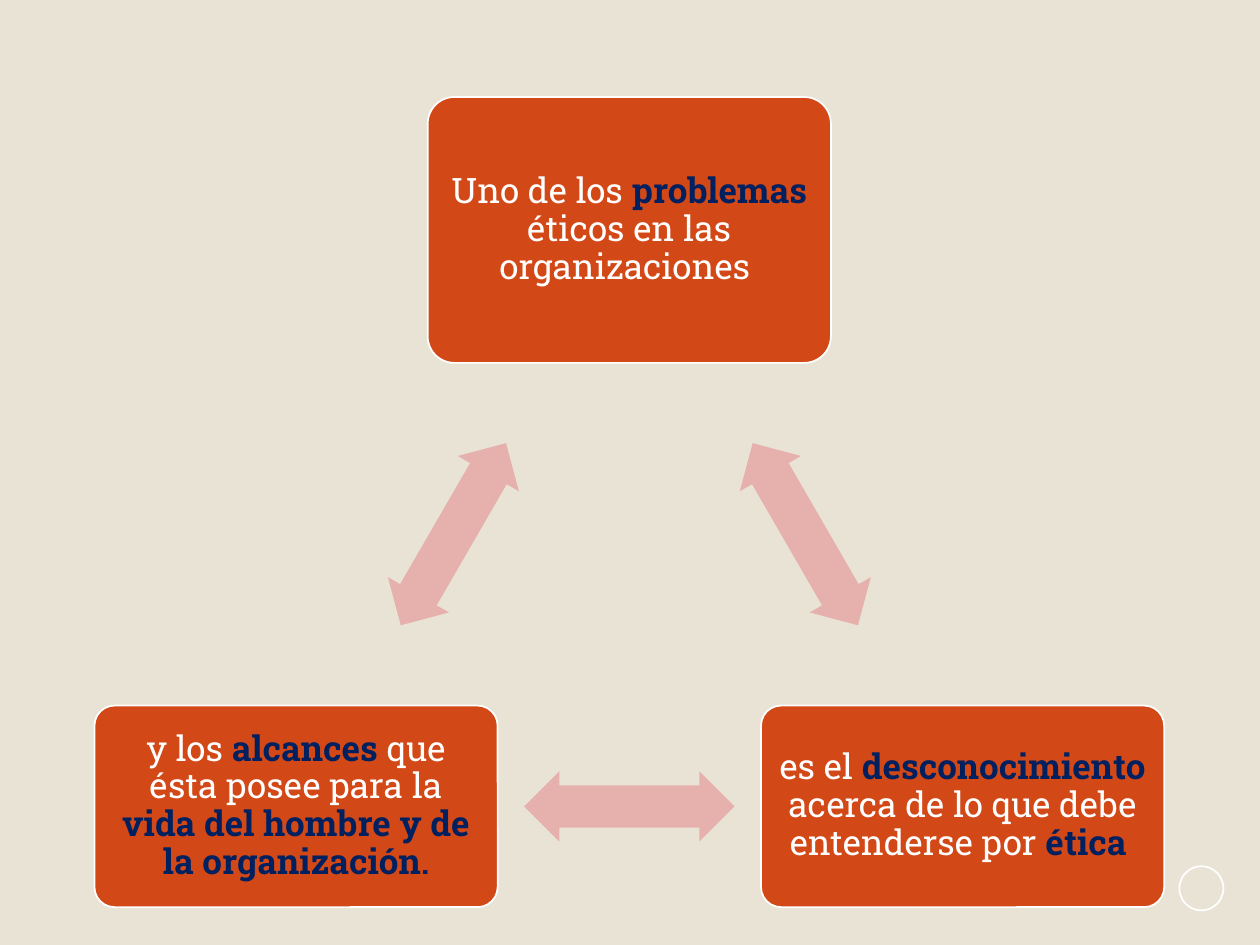
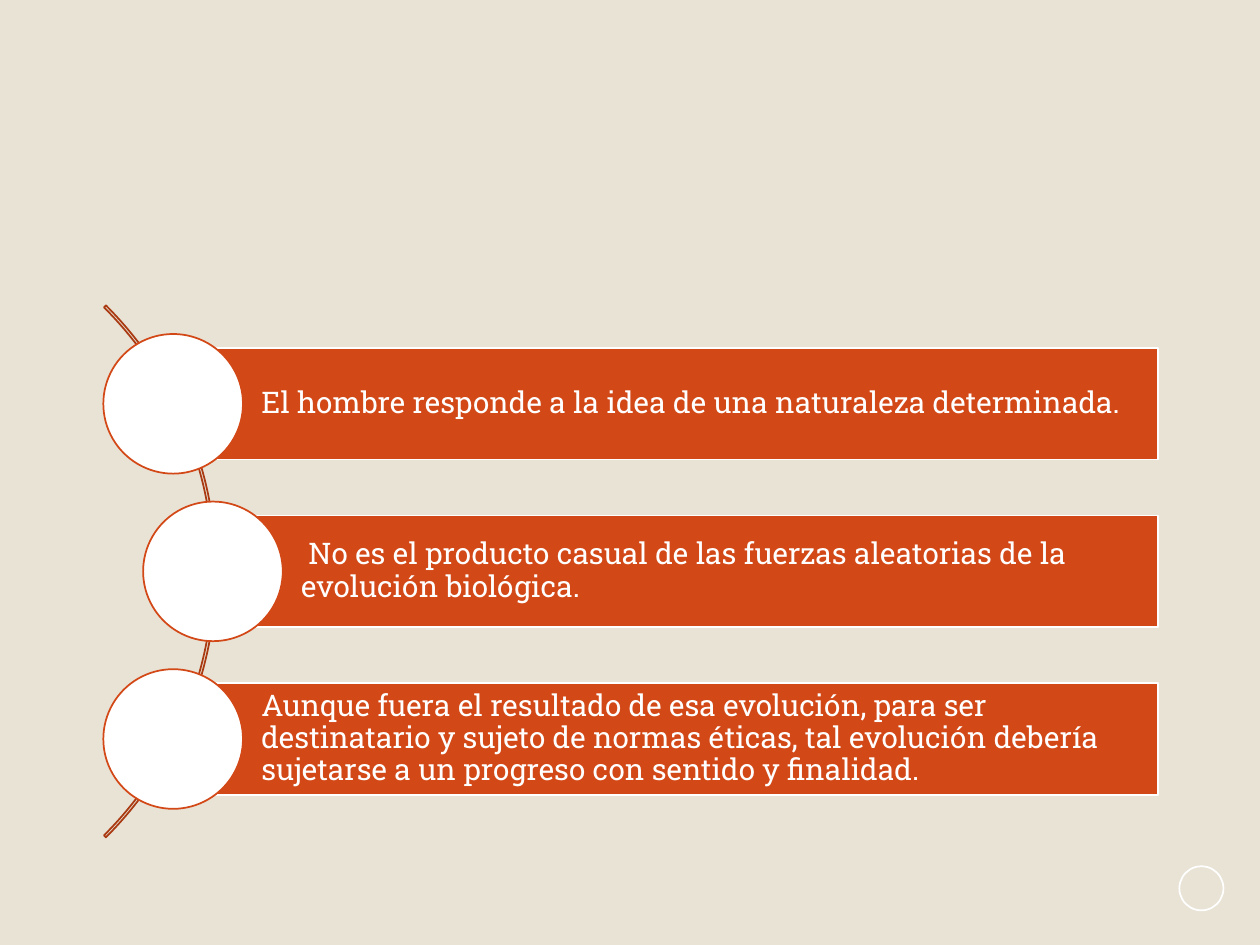
import math

import pptx
import pptx.dml.color
import pptx.enum.shapes
import pptx.enum.text
import pptx.util

RGBColor = pptx.dml.color.RGBColor
MSO_SHAPE = pptx.enum.shapes.MSO_SHAPE
PP_ALIGN = pptx.enum.text.PP_ALIGN
Inches = pptx.util.Inches

SAND = RGBColor(0xE9, 0xE3, 0xD6)
ORANGE = RGBColor(0xD3, 0x48, 0x17)
RUST = RGBColor(0xA9, 0x3A, 0x12)
PINK = RGBColor(0xE6, 0xB1, 0xAC)
NAVY = RGBColor(0x00, 0x20, 0x60)
WHITE = RGBColor(0xFF, 0xFF, 0xFF)
FONT = "Roboto Slab"
SLIDE_W, SLIDE_H = 10, 7.5

# Each run is (text, highlighted) or (text, highlighted, size)
PROBLEM = [("Uno de los ", False), ("problemas", True),
           (" éticos en las organizaciones ", False)]
IGNORANCE = [("es el ", False), ("desconocimiento", True),
             (" acerca de lo que debe entenderse por ", False), ("ética ", True)]
SCOPE = [("y los ", False), ("alcances", True), (" que ésta posee para la ", False),
         ("vida del hombre y de la organización", True), (".", True, 18)]
STATEMENTS = [
    "El hombre responde a la idea de una naturaleza determinada.",
    " No es el producto casual de las fuerzas aleatorias de la evolución biológica.",
    "Aunque fuera el resultado de esa evolución, para ser destinatario y sujeto de "
    "normas éticas, tal evolución debería sujetarse a un progreso con sentido y finalidad.",
]


def add_centred(slide, kind, cx, cy, w, h, fill=None, line=None):
    """Add a preset shape around a centre point, in inches."""
    sp = slide.shapes.add_shape(kind, Inches(cx - w / 2), Inches(cy - h / 2),
                                Inches(w), Inches(h))
    sp.shadow.inherit = False
    if fill is None:
        sp.fill.background()
    else:
        sp.fill.solid()
        sp.fill.fore_color.rgb = fill
    if line is None:
        sp.line.fill.background()
    else:
        sp.line.color.rgb = line
        sp.line.width = pptx.util.Pt(1)
    return sp


def write_runs(sp, runs, size, align, left, inset):
    tf = sp.text_frame
    tf.word_wrap = True
    tf.vertical_anchor = pptx.enum.text.MSO_ANCHOR.MIDDLE
    tf.margin_left = Inches(left)
    tf.margin_top = tf.margin_right = tf.margin_bottom = Inches(inset)
    p = tf.paragraphs[0]
    p.alignment = align
    p.line_spacing = 0.9
    for text, strong, *own_size in runs:
        r = p.add_run()
        r.text = text
        r.font.name = FONT
        r.font.size = pptx.util.Pt(own_size[0] if own_size else size)
        r.font.bold = strong
        r.font.color.rgb = NAVY if strong else WHITE


def add_base_slide(prs):
    """Blank slide with the ring in its lower right corner."""
    slide = prs.slides.add_slide(prs.slide_layouts[6])
    add_centred(slide, MSO_SHAPE.OVAL, 0.9535 * SLIDE_W, 0.94 * SLIDE_H,
                0.35, 0.35, line=WHITE)
    return slide


def add_arrow_between(slide, start, end):
    """Centre a double arrow in the gap between two (cx, cy, w, h) boxes."""
    dx, dy = end[0] - start[0], end[1] - start[1]

    def share_inside(box):
        return min(box[2] / 2 / abs(dx) if dx else math.inf,
                   box[3] / 2 / abs(dy) if dy else math.inf)

    middle = (share_inside(start) + 1 - share_inside(end)) / 2
    arrow = add_centred(slide, MSO_SHAPE.LEFT_RIGHT_ARROW, start[0] + middle * dx,
                        start[1] + middle * dy, 1.67, 0.56, fill=PINK)
    arrow.adjustments[0] = 0.6
    arrow.adjustments[1] = 0.5
    arrow.rotation = math.degrees(math.atan2(dy, dx)) % 360


def add_triangle_cycle(slide, left, top, width, height):
    """Three rounded boxes at the corners of a triangle, joined by arrows."""
    box_w, top_h, low_h = 3.2, 2.11, 1.6
    low_y = top + height - low_h / 2
    boxes = [(left + width / 2, top + top_h / 2, box_w, top_h),
             (left + width - box_w / 2, low_y, box_w, low_h),
             (left + box_w / 2, low_y, box_w, low_h)]
    for i, (box, runs) in enumerate(zip(boxes, (PROBLEM, IGNORANCE, SCOPE))):
        sp = add_centred(slide, MSO_SHAPE.ROUNDED_RECTANGLE, *box,
                         fill=ORANGE, line=WHITE)
        sp.adjustments[0] = 0.1
        write_runs(sp, runs, 20, PP_ALIGN.CENTER, 0.08, 0.08)
        add_arrow_between(slide, box, boxes[(i + 1) % len(boxes)])


def add_curved_list(slide, left, top, width, height):
    """Bars whose round markers sit on an arc bulging to the right."""
    rows = len(STATEMENTS)
    pitch = height / rows
    bar_h, marker = pitch * 2 / 3, pitch * 5 / 6
    radius = 2.96
    arc_x, arc_y = left - 2.08, top + height / 2

    # Arc from -45 to 45 degrees; preset angles count 0.6 per degree
    arc = add_centred(slide, MSO_SHAPE.BLOCK_ARC, arc_x, arc_y, 5.97, 5.97, line=RUST)
    for i, value in enumerate((315 * 0.6, 45 * 0.6, 0.0036)):
        arc.adjustments[i] = value

    # Bars start at the centre of their marker
    for row, statement in enumerate(STATEMENTS):
        cy = top + (row + 0.5) * pitch
        cx = arc_x + math.sqrt(radius ** 2 - (cy - arc_y) ** 2)
        bar_w = left + width - cx
        bar = add_centred(slide, MSO_SHAPE.RECTANGLE, cx + bar_w / 2, cy,
                          bar_w, bar_h, fill=ORANGE, line=WHITE)
        write_runs(bar, [(statement, False)], 17, PP_ALIGN.LEFT, 0.7, 0.05)
        add_centred(slide, MSO_SHAPE.OVAL, cx, cy, marker, marker,
                    fill=WHITE, line=ORANGE)


def main():
    prs = pptx.Presentation()
    prs.slide_width, prs.slide_height = Inches(SLIDE_W), Inches(SLIDE_H)
    background = prs.slide_master.background.fill
    background.solid()
    background.fore_color.rgb = SAND

    add_triangle_cycle(add_base_slide(prs), 0.75, 0.77, 8.49, 6.43)
    add_curved_list(add_base_slide(prs), 0.81, 2.54, 8.38, 3.99)
    prs.save("out.pptx")


if __name__ == "__main__":
    main()
